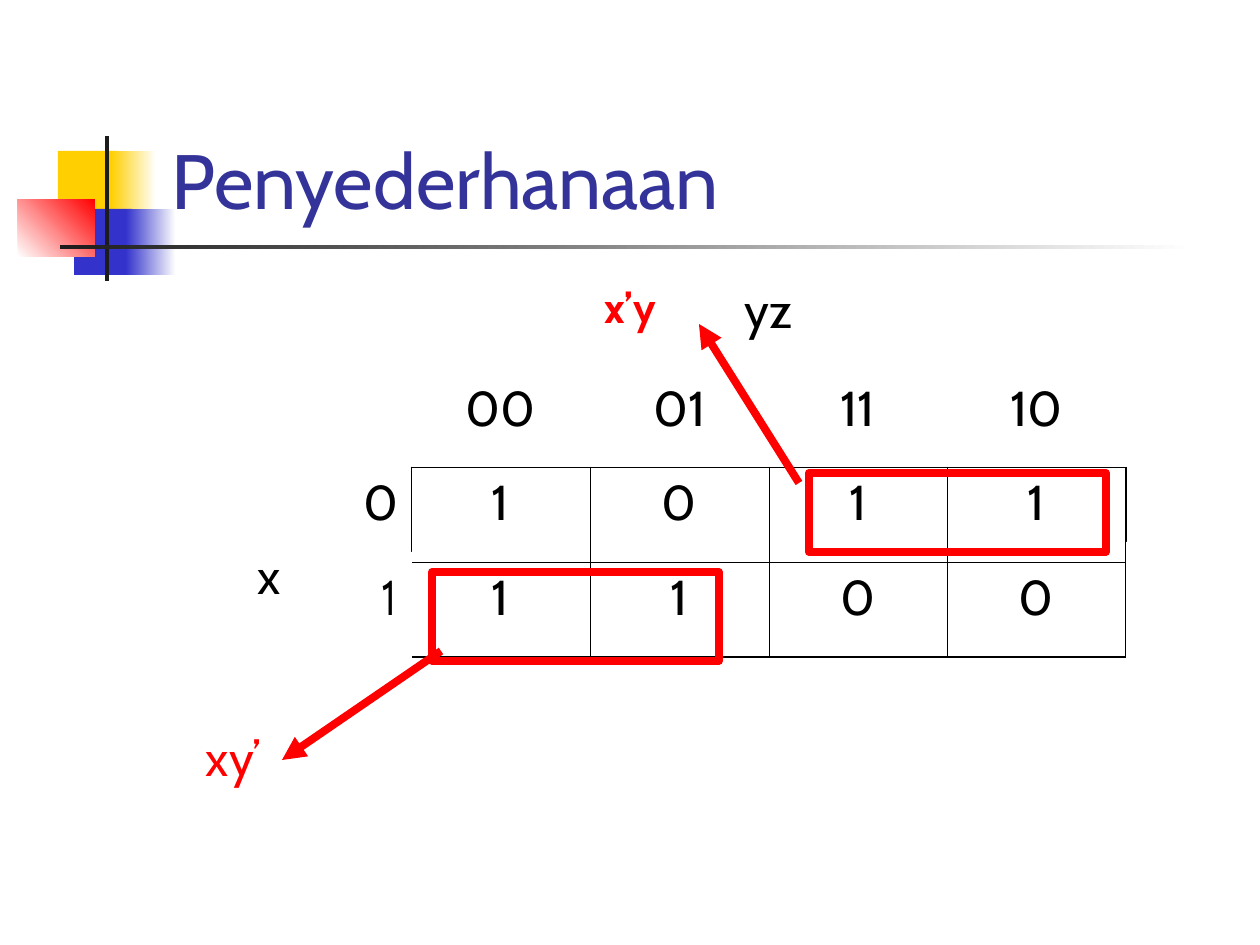
"""Build a slide that simplifies a three-variable Karnaugh map."""
from pptx import Presentation
from pptx.dml.color import RGBColor
from pptx.enum.shapes import MSO_CONNECTOR, MSO_SHAPE
from pptx.enum.text import MSO_ANCHOR, PP_ALIGN
from pptx.oxml.ns import qn
from pptx.util import Emu, Pt
from lxml import etree

RECTANGLE, STRAIGHT = MSO_SHAPE.RECTANGLE, MSO_CONNECTOR.STRAIGHT
LEFT, CENTER, RIGHT = PP_ALIGN.LEFT, PP_ALIGN.CENTER, PP_ALIGN.RIGHT
TOP, MIDDLE, BOTTOM = MSO_ANCHOR.TOP, MSO_ANCHOR.MIDDLE, MSO_ANCHOR.BOTTOM

FONT = "Cabin"
COLORS = {
    "yellow": "FFCF01", "blue": "3333CC", "red": "FF0000", "dark": "1C1C1C",
    "white": "FFFFFF", "black": "000000", "title": "333399",
}
DECORATION = [
    ((58, 151, 60, 66), ["yellow"], 0),
    ((111, 151, 45, 66), ["yellow", "white"], 0),
    ((74, 209, 58, 66), ["blue"], 0),
    ((126, 209, 50, 66), ["blue", "white"], 0),
    ((18, 199, 77, 58), ["white", "red"], 45),
    ((105, 136, 4, 145), ["dark"], 0),
    ((60, 245, 1134, 4), ["dark", "white"], 0),
]
TEXTS = [
    ("Penyederhanaan", (159, 29, 1074, 202), 44, "title", LEFT, BOTTOM, False, True),
    ("xy’", (84, 721, 189, 72), 28, "red", RIGHT, TOP, False, True),
    ("x’y", (592, 275, 82, 63), 24, "red", LEFT, TOP, True, False),
]
MAP_ORIGIN = (54, 275)
COLUMN_WIDTHS = [179, 60, 118, 179, 179, 178, 179]
ROW_HEIGHTS = [98, 94, 95, 95]
MAP_ROWS = [
    ["", "", "", "yz", "", "", ""],
    ["", "", "", "00", "01", "11", "10"],
    ["x", "", "0", "1", "0", "1", "1"],
    ["", "", "1", "1", "1", "0", "0"],
]
MERGES = [((0, 1), (0, 2)), ((0, 3), (0, 6)), ((1, 1), (1, 2)), ((2, 0), (3, 1))]
FIRST_ROW, FIRST_COLUMN = 2, 3
EDGE_MASKS = [(392, 552, 20, 128), (1126, 542, 20, 128)]
GROUPS = [(809, 473, 297, 79), (432, 572, 287, 89)]
ARROWS = [((799, 483), (699, 324)), ((441, 651), (282, 760))]


def px(value):
    return Emu(round(value * 914400 / 126))


def rgb(name):
    return RGBColor.from_string(COLORS[name])


def add_rectangle(slide, box, fills=(), angle=0, line=None):
    shape = slide.shapes.add_shape(RECTANGLE, *map(px, box))
    shape.shadow.inherit = False
    if len(fills) == 2:
        shape.fill.gradient()
        shape.fill.gradient_angle = angle
        for stop, name, position in zip(shape.fill.gradient_stops, fills, (0, 1)):
            stop.color.rgb = rgb(name)
            stop.position = position
    elif fills:
        shape.fill.solid()
        shape.fill.fore_color.rgb = rgb(fills[0])
    else:
        shape.fill.background()
    if line:
        shape.line.color.rgb = rgb(line)
        shape.line.width = Pt(4.5)
    else:
        shape.line.fill.background()


def write(frame, text, size, color, align, bold=False):
    paragraph = frame.paragraphs[0]
    paragraph.alignment = align
    run = paragraph.add_run()
    run.text = text
    run.font.name, run.font.size, run.font.bold = FONT, Pt(size), bold
    run.font.color.rgb = rgb(color)


def add_text(slide, text, box, size, color, align, anchor, bold, wrap):
    frame = slide.shapes.add_textbox(*map(px, box)).text_frame
    frame.word_wrap = wrap
    frame.vertical_anchor = anchor
    write(frame, text, size, color, align, bold)


def add_arrow(slide, start, end):
    arrow = slide.shapes.add_connector(STRAIGHT, *map(px, start + end))
    arrow.line.color.rgb = rgb("red")
    arrow.line.width = Pt(4.5)
    etree.SubElement(arrow.line._get_or_add_ln(), qn("a:tailEnd"), type="triangle")
    etree.SubElement(arrow._element.spPr, qn("a:effectLst"))


def border_widths(row, column):
    in_rows, in_columns = row >= FIRST_ROW, column >= FIRST_COLUMN
    inside = in_rows and in_columns
    last_row, last_column = len(ROW_HEIGHTS) - 1, len(COLUMN_WIDTHS) - 1
    right = in_rows and column >= FIRST_COLUMN - 1
    bottom = in_columns and row >= FIRST_ROW - 1
    return {
        "L": 0.45 * inside,
        "R": (1.08 if column == last_column else 0.45) * right,
        "T": 0.45 * inside,
        "B": (1.08 if row == last_row else 0.45) * bottom,
    }


def set_borders(cell, widths):
    properties = cell._tc.get_or_add_tcPr()
    for side, width in widths.items():
        line = etree.SubElement(properties, qn(f"a:ln{side}"), w=str(Pt(width)))
        if width:
            fill = etree.SubElement(line, qn("a:solidFill"))
            etree.SubElement(fill, qn("a:srgbClr"), val=COLORS["black"])
        else:
            etree.SubElement(line, qn("a:noFill"))


def add_map(slide):
    size = (sum(COLUMN_WIDTHS), sum(ROW_HEIGHTS))
    table = slide.shapes.add_table(
        len(ROW_HEIGHTS), len(COLUMN_WIDTHS), *map(px, MAP_ORIGIN + size)
    ).table
    table.first_row = table.horz_banding = False
    for column, width in zip(table.columns, COLUMN_WIDTHS):
        column.width = px(width)
    for row, height in zip(table.rows, ROW_HEIGHTS):
        row.height = px(height)
    for row, values in enumerate(MAP_ROWS):
        for column, value in enumerate(values):
            cell = table.cell(row, column)
            set_borders(cell, border_widths(row, column))
            cell.fill.background()
            if value:
                align = CENTER if column >= FIRST_COLUMN else RIGHT
                write(cell.text_frame, value, 28, "black", align)
    for first, last in MERGES:
        table.cell(*first).merge(table.cell(*last))
    row_variable = table.cell(FIRST_ROW, 0)
    row_variable.vertical_anchor = MIDDLE
    row_variable.margin_top, row_variable.margin_bottom = px(32), px(2)


def main():
    presentation = Presentation()
    presentation.slide_width, presentation.slide_height = px(1260), px(945)
    slide = presentation.slides.add_slide(presentation.slide_layouts[6])
    for box, fills, angle in DECORATION:
        add_rectangle(slide, box, fills, angle)
    add_map(slide)
    for text in TEXTS:
        add_text(slide, *text)
    for box in EDGE_MASKS:
        add_rectangle(slide, box, ["white"])
    for box in GROUPS:
        add_rectangle(slide, box, line="red")
    for start, end in ARROWS:
        add_arrow(slide, start, end)
    presentation.save("out.pptx")


if __name__ == "__main__":
    main()
